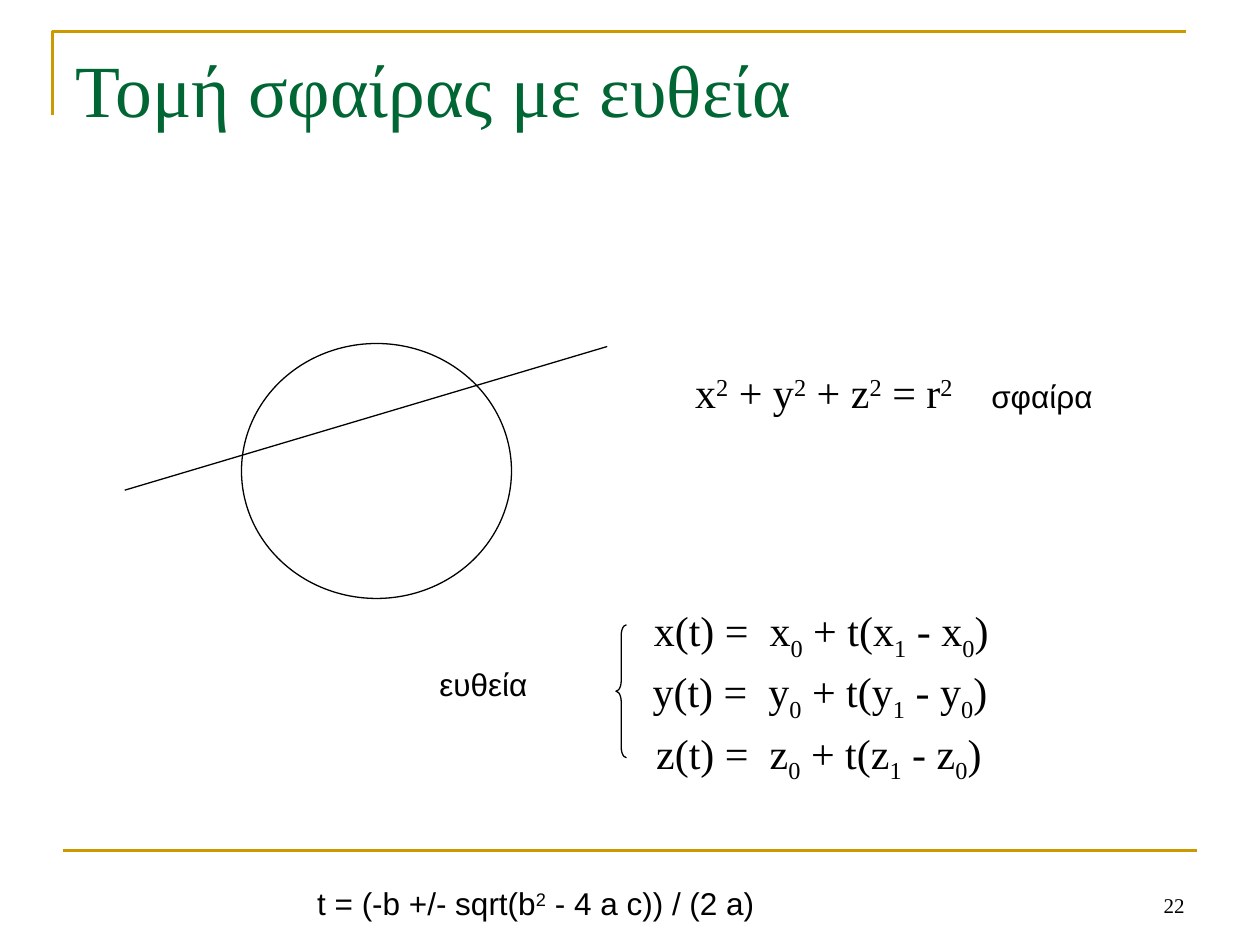
from lxml.etree import SubElement
from pptx import Presentation
from pptx.dml.color import RGBColor
from pptx.enum.shapes import MSO_CONNECTOR as Link, MSO_SHAPE as Preset
from pptx.enum.text import MSO_ANCHOR as Anchor, MSO_AUTO_SIZE as Fit, PP_ALIGN as Align
from pptx.oxml.ns import qn
from pptx.util import Pt

# Content: in formulas, every second piece between bars is a raised or lowered index
TITLE = "Τομή σφαίρας με ευθεία"
PAGE_NUMBER = "22"
SPHERE = "x|2| + y|2| + z|2| = r|2"
ROOTS = "t = (-b +/- sqrt(b|2| - 4 a c)) / (2 a)"
LINE_AXES = [("x", 366.5), ("y", 365.8), ("z", 367.9)]  # axis, left edge
LINE_FORMULA = "{0}(t) =  {0}|0| + t({0}|1| - {0}|0|)"
LABELS = [("ευθεία", 244, 376.6), ("σφαίρα", 559.4, 211.7)]

THEME = {
    "serif": "Times New Roman", "sans": "Arial",
    "title": RGBColor(0x00, 0x66, 0x33),
    "ink": RGBColor(0, 0, 0),
    "gold": RGBColor(0xCC, 0x99, 0x00),
    "title_size": 42, "formula_size": 24, "label_size": 18, "number_size": 12,
    "rule": 1.5, "thin": 0.75,
}
SUPER, SUB = 30000, -25000

deck = Presentation()
deck.slide_width, deck.slide_height = Pt(720), Pt(540)
page = deck.slides.add_slide(deck.slide_layouts[5])
shapes = page.shapes


def write(box, text, size, font="serif", color="ink", script=SUPER, align=Align.LEFT):
    para = box.text_frame.paragraphs[0]
    para.alignment = align
    look = {"name": THEME[font], "size": Pt(THEME[size]), "bold": False}
    for index, piece in enumerate(text.split("|")):
        if not piece:
            continue
        span = para.add_run()
        span.text = piece
        for key, value in look.items():
            setattr(span.font, key, value)
        span.font.color.rgb = THEME[color]
        if index % 2:
            span._r.get_or_add_rPr().set("baseline", str(script))


def add_text(area, text, size, wrap=True, anchor=Anchor.TOP, **style):
    box = shapes.add_textbox(*map(Pt, area))
    frame = {"word_wrap": wrap, "vertical_anchor": anchor}
    for key, value in frame.items():
        setattr(box.text_frame, key, value)
    write(box, text, size, **style)


def outline(shape, color, width):
    shape.line.color.rgb = THEME[color]
    shape.line.width = Pt(THEME[width])


def add_hollow(shape, color="ink", width="thin"):
    shape.shadow.inherit = False
    shape.fill.background()
    outline(shape, color, width)


def add_line(start, end, color="ink", width="thin"):
    line = shapes.add_connector(Link.STRAIGHT, *map(Pt, start + end))
    outline(line, color, width)
    SubElement(line._element.spPr, qn("a:effectLst"))


# Frame: corner rule at the top, straight rule at the bottom
corner = shapes.build_freeform(Pt(30), Pt(66), scale=1.0)
corner.add_line_segments([(Pt(30), Pt(18)), (Pt(678), Pt(18))], close=False)
add_hollow(corner.convert_to_shape(), "gold", "rule")
add_line((36, 486), (684, 486), "gold", "rule")

# Title and page number
title = shapes.title
title.left, title.top, title.width, title.height = map(Pt, (36, 21.6, 648, 90))
for key, value in {"vertical_anchor": Anchor.TOP, "auto_size": Fit.NONE}.items():
    setattr(title.text_frame, key, value)
write(title, TITLE, "title_size", color="title")
add_text((516, 492, 168, 36), PAGE_NUMBER, "number_size",
         anchor=Anchor.BOTTOM, align=Align.RIGHT)

# Sphere cut by the line
add_hollow(shapes.add_shape(Preset.OVAL, *map(Pt, (138, 196.3, 154.3, 145.7))))
add_line((71.3, 280.1), (347, 198))

# Line equations behind a brace
brace = shapes.add_shape(Preset.LEFT_BRACE, *map(Pt, (352, 357, 6, 76)))
brace.adjustments[0] = 1
add_hollow(brace)
for row, (axis, left) in enumerate(LINE_AXES):
    add_text((left, 342 + 35 * row, 212.4, 40.3), LINE_FORMULA.format(axis),
             "formula_size", script=SUB)

# Labels, sphere equation and roots
for text, left, top in LABELS:
    add_text((left, top, 99.4, 28.8), text, "label_size", font="sans")
add_text((390.2, 206, 161.3, 36), SPHERE, "formula_size", wrap=False)
add_text((174.2, 501.8, 264.2, 28.8), ROOTS, "label_size", wrap=False, font="sans")

deck.save("out.pptx")
